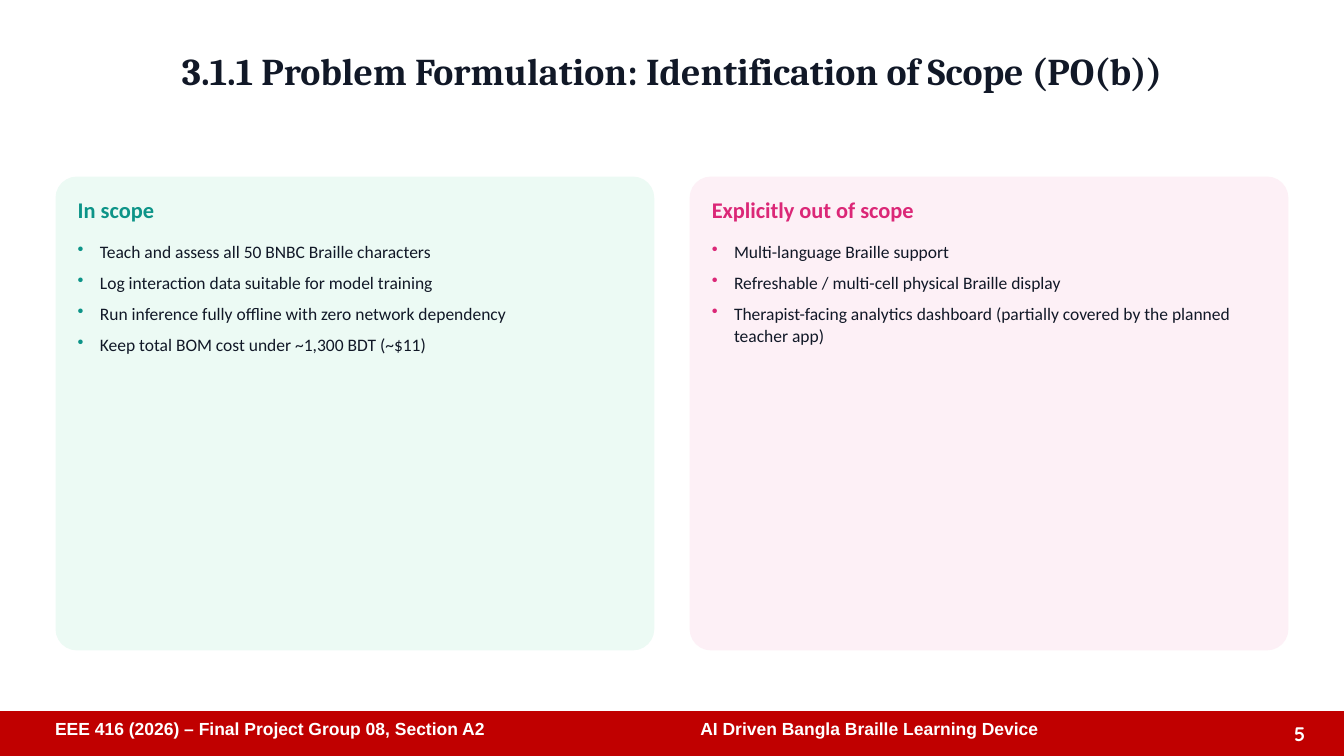
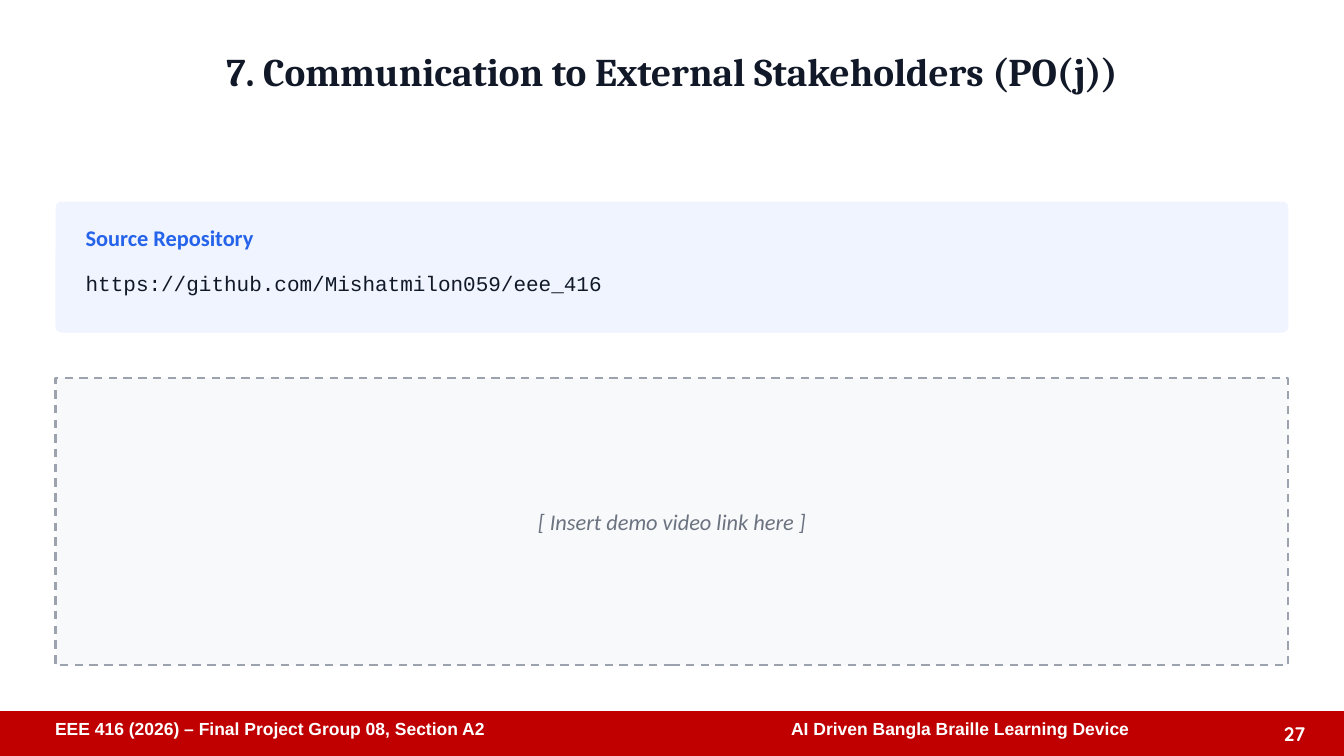
from dataclasses import dataclass

from lxml.etree import SubElement
from pptx import Presentation
from pptx.dml.color import RGBColor
from pptx.enum.dml import MSO_LINE
from pptx.enum.shapes import MSO_SHAPE as Shape
from pptx.enum.text import MSO_ANCHOR as Anchor, PP_ALIGN as Align
from pptx.oxml.ns import qn
from pptx.util import Cm, Pt


@dataclass(frozen=True)
class Theme:
    ink: str = "111827"
    white: str = "FFFFFF"
    band: str = "C00000"
    teal: str = "0D9488"
    mint: str = "ECFAF4"
    pink: str = "DB2777"
    rose: str = "FDF0F6"
    blue: str = "2563EB"
    sky: str = "EFF4FE"
    grey: str = "6B7280"
    dash: str = "9CA3AF"
    mist: str = "F8F9FA"
    corner: float = 0.045
    spacing: float = 1.15


T = Theme()
TITLE = dict(name="Cambria", size=28, bold=True, color=T.ink)
HEADING = dict(name="Calibri", size=16, bold=True)
BODY = dict(name="Calibri", size=12.5, color=T.ink)
URL = dict(name="Courier New", size=15, color=T.ink)
HINT = dict(name="Calibri", size=16, italic=True, color=T.grey)
FOOTER = dict(name="Arial", size=12.5, bold=True, color=T.white)
NUMBER = dict(name="Quicksand", size=14, bold=True, color=T.white)

COURSE = "EEE 416 (2026) – Final Project Group 08, Section A2"
PROJECT = "AI Driven Bangla Braille Learning Device"

SCOPE = dict(title="3.1.1 Problem Formulation: Identification of Scope (PO(b))",
             number=5, title_size=27, project_align=Align.LEFT)
SCOPE_CARDS = [
    ("In scope", T.teal, T.mint, [
        "Teach and assess all 50 BNBC Braille characters",
        "Log interaction data suitable for model training",
        "Run inference fully offline with zero network dependency",
        "Keep total BOM cost under ~1,300 BDT (~$11)",
    ]),
    ("Explicitly out of scope", T.pink, T.rose, [
        "Multi-language Braille support",
        "Refreshable / multi-cell physical Braille display",
        "Therapist-facing analytics dashboard "
        "(partially covered by the planned teacher app)",
    ]),
]

OUTREACH = dict(title="7. Communication to External Stakeholders (PO(j))",
                number=27, title_size=28, project_align=Align.CENTER)
REPOSITORY = ("Source Repository", "https://github.com/Mishatmilon059/eee_416")
VIDEO_HINT = "[ Insert demo video link here ]"

# Centimetres
SLIDE_W, SLIDE_H = 33.87, 19.05
MARGIN = 1.4
CONTENT_W = SLIDE_W - 2 * MARGIN
BAND_H = 1.13


def rgb(value):
    return RGBColor.from_string(value)


def write(tf, lines, style, align=Align.LEFT, bullet=None, **layout):
    """Fill a text frame, one paragraph per line; bullet is a colour."""
    for i, line in enumerate(lines):
        p = tf.paragraphs[0] if i == 0 else tf.add_paragraph()
        p.alignment = align
        if bullet:
            add_bullet(p, bullet)
        for key, value in layout.items():
            setattr(p, key, value)
        r = p.add_run()
        r.text = line
        for key, value in style.items():
            if key == "color":
                r.font.color.rgb = rgb(value)
            else:
                setattr(r.font, key, Pt(value) if key == "size" else value)


def add_bullet(p, color):
    pPr = p._p.get_or_add_pPr()
    indent = Cm(0.56)
    pPr.set("marL", str(indent))
    pPr.set("indent", str(-indent))
    SubElement(SubElement(pPr, qn("a:buClr")), qn("a:srgbClr"), val=color)
    SubElement(pPr, qn("a:buChar"), char="•")


def add_text(s, box, lines, style, inset=(0, 0), anchor=Anchor.TOP, **layout):
    """Add a text box; inset is (sides, top and bottom), None for the default."""
    tf = s.shapes.add_textbox(*map(Cm, box)).text_frame
    tf.word_wrap = True
    tf.vertical_anchor = anchor
    if inset:
        tf.margin_left = tf.margin_right = Cm(inset[0])
        tf.margin_top = tf.margin_bottom = Cm(inset[1])
    write(tf, lines, style, **layout)


def add_panel(s, box, fill, kind=Shape.RECTANGLE):
    sp = s.shapes.add_shape(kind, *map(Cm, box))
    sp.shadow.inherit = False
    sp.fill.solid()
    sp.fill.fore_color.rgb = rgb(fill)
    sp.line.fill.background()
    if kind == Shape.ROUNDED_RECTANGLE:
        sp.adjustments[0] = T.corner
    return sp


def add_heading(s, left, top, width, text, color):
    add_text(s, (left, top, width, 1.02), [text], HEADING | dict(color=color),
             line_spacing=T.spacing)


def new_slide(prs, title, number, title_size, project_align):
    """Add a slide with its title and footer band."""
    s = prs.slides.add_slide(prs.slide_layouts[6])
    add_panel(s, (0, SLIDE_H - BAND_H, SLIDE_W, BAND_H), T.band)
    add_text(s, (1.14, 17.98, 16, 1.07), [COURSE], FOOTER, inset=None)
    add_text(s, (17.4, 17.98, 13.59, 1.07), [PROJECT], FOOTER, inset=None,
             align=project_align)
    add_text(s, (31.7, 18.06, 1.45, 0.86), [str(number)], NUMBER, inset=None,
             anchor=Anchor.BOTTOM, align=Align.RIGHT)
    add_text(s, (MARGIN, 1.07, CONTENT_W, 2.54), [title],
             TITLE | dict(size=title_size), inset=(0, 0.13), align=Align.CENTER)
    return s


def build_scope(prs):
    s = new_slide(prs, **SCOPE)
    top, height, gap, pad = 4.45, 11.94, 0.89, 0.56
    card_w = (CONTENT_W - gap) / 2
    text_w = card_w - 2 * pad
    for i, (heading, accent, fill, items) in enumerate(SCOPE_CARDS):
        left = MARGIN + i * (card_w + gap)
        add_panel(s, (left, top, card_w, height), fill, Shape.ROUNDED_RECTANGLE)
        add_heading(s, left + pad, top + 0.38, text_w, heading, accent)
        add_text(s, (left + pad, top + 1.57, text_w, 9.91), items, BODY,
                 bullet=accent, line_spacing=1.08, space_after=Pt(6))


def build_outreach(prs):
    s = new_slide(prs, **OUTREACH)
    top, pad = 5.08, 0.76
    left, text_w = MARGIN + pad, CONTENT_W - 2 * pad
    heading, url = REPOSITORY
    add_panel(s, (MARGIN, top, CONTENT_W, 3.3), T.sky, Shape.ROUNDED_RECTANGLE)
    add_heading(s, left, top + 0.46, text_w, heading, T.blue)
    add_text(s, (left, top + 1.65, text_w, 1.14), [url], URL,
             line_spacing=T.spacing)

    video = add_panel(s, (MARGIN, 9.53, CONTENT_W, 7.24), T.mist)
    video.line.color.rgb = rgb(T.dash)
    video.line.width = Pt(1.5)
    video.line.dash_style = MSO_LINE.DASH
    video.text_frame.vertical_anchor = Anchor.MIDDLE
    write(video.text_frame, [VIDEO_HINT], HINT, align=Align.CENTER)


def main():
    prs = Presentation()
    prs.slide_width, prs.slide_height = Cm(SLIDE_W), Cm(SLIDE_H)
    build_scope(prs)
    build_outreach(prs)
    prs.save("out.pptx")


if __name__ == "__main__":
    main()
